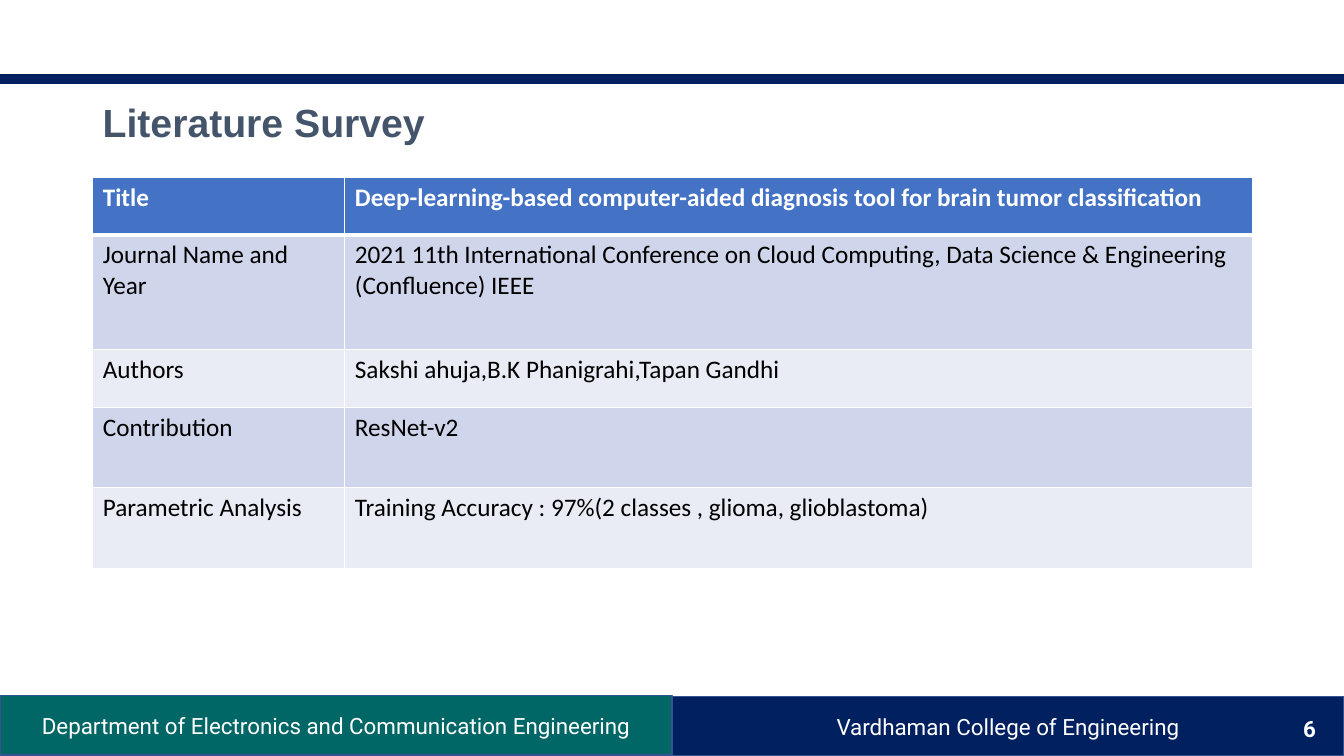
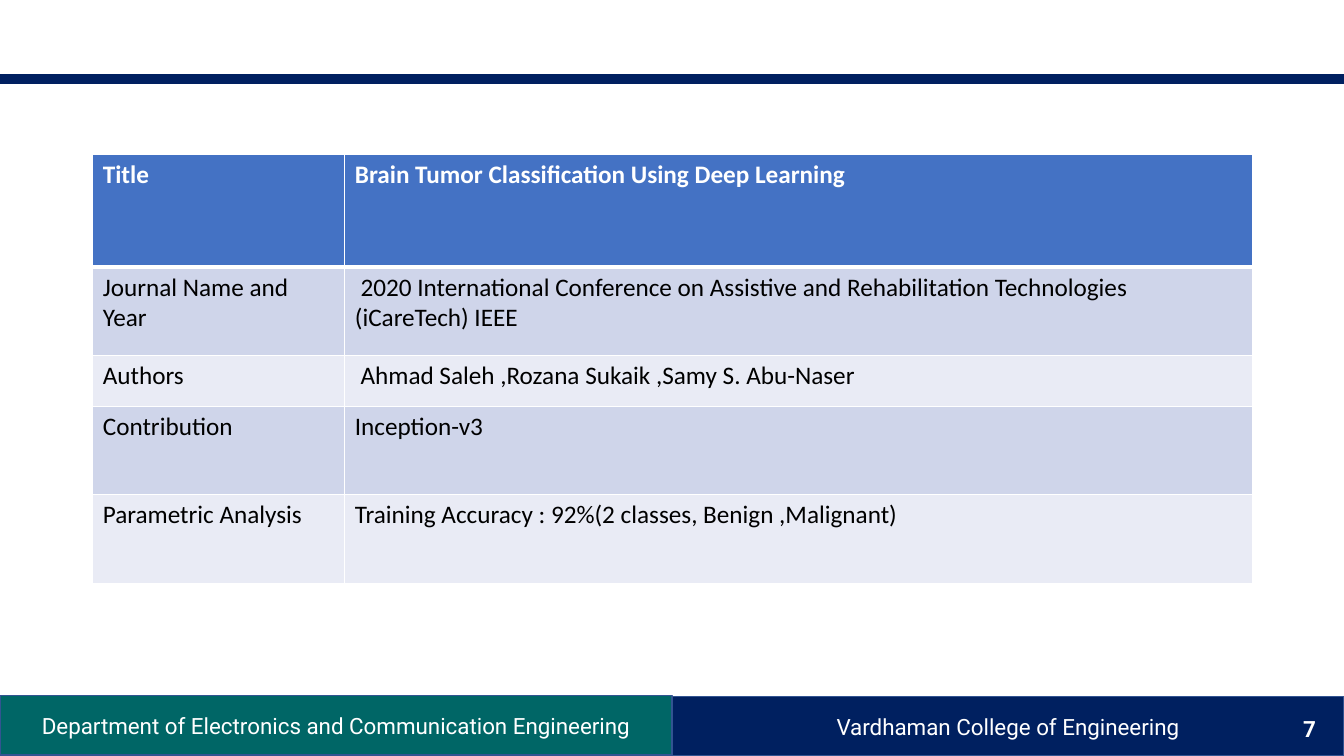
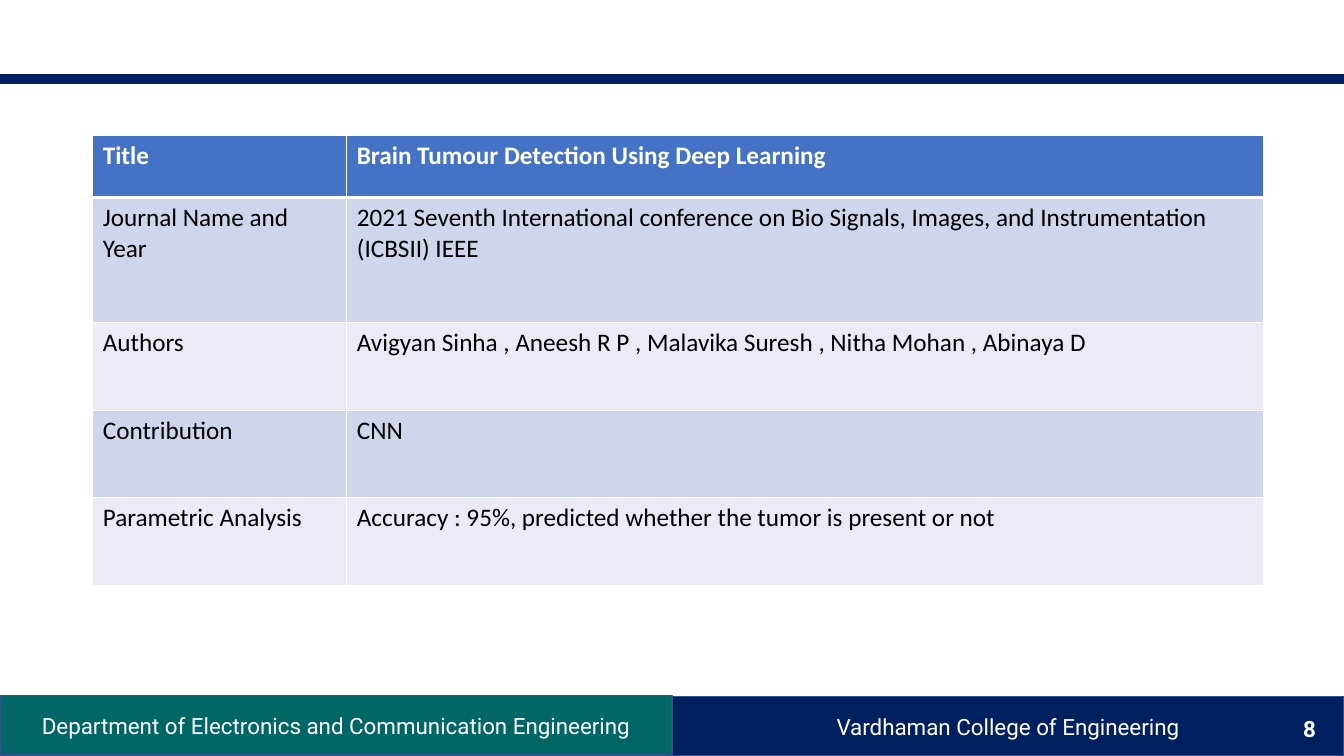
from lxml import etree
from pptx import Presentation
from pptx.dml.color import RGBColor
from pptx.enum.shapes import MSO_SHAPE
from pptx.enum.text import MSO_ANCHOR, PP_ALIGN
from pptx.oxml.ns import qn
from pptx.util import Inches, Pt

RECT = MSO_SHAPE.RECTANGLE
MIDDLE = MSO_ANCHOR.MIDDLE
LEFT, CENTER, RIGHT = PP_ALIGN.LEFT, PP_ALIGN.CENTER, PP_ALIGN.RIGHT

# Shared look
WHITE, BLACK, SLATE = "FFFFFF", "000000", "44546A"
NAVY, TEAL, OUTLINE = "002060", "006666", "325491"
HEADER, BANDS = "4472C4", ("CFD5EA", "E9EBF5")
SLIDE_W, SLIDE_H = 13.33, 7.5
HALF = SLIDE_W / 2
TABLE_LEFT = 0.92

# Left, top, width, height, fill, line, text
FRAME = [
    (0, 6.9, HALF, 0.59, TEAL, OUTLINE,
     "Department of Electronics and Communication Engineering"),
    (HALF, 6.91, HALF, 0.59, NAVY, OUTLINE, "Vardhaman College of Engineering"),
    (0, 0.74, SLIDE_W, 0.09, NAVY, NAVY, ""),
]

# Content
FIRST_NUMBER = 6
LABELS = ["Title", "Journal Name and Year", "Authors", "Contribution",
          "Parametric Analysis"]
PAPERS = [
    {"heading": "Literature Survey", "top": 1.76, "cols": (2.5, 9),
     "rows": (0.57, 1.14, 0.57, 0.8, 0.8),
     "values": [
         "Deep-learning-based computer-aided diagnosis tool for brain tumor classification",
         "2021 11th International Conference on Cloud Computing, Data Science & "
         "Engineering (Confluence) IEEE",
         "Sakshi ahuja,B.K Phanigrahi,Tapan Gandhi",
         "ResNet-v2",
         "Training Accuracy : 97%(2 classes , glioma, glioblastoma)"]},
    {"heading": "", "top": 1.53, "cols": (2.5, 9),
     "rows": (1.12, 0.88, 0.5, 0.88, 0.88),
     "values": [
         "Brain Tumor Classification Using Deep Learning",
         " 2020 International Conference on Assistive and Rehabilitation "
         "Technologies (iCareTech) IEEE",
         " Ahmad Saleh ,Rozana Sukaik ,Samy S. Abu-Naser",
         "Inception-v3",
         "Training Accuracy : 92%(2 classes, Benign ,Malignant)"]},
    {"heading": "", "top": 1.34, "cols": (2.52, 9.09),
     "rows": (0.62, 1.24, 0.87, 0.87, 0.87),
     "values": [
         "Brain Tumour Detection Using Deep Learning",
         "2021 Seventh International conference on Bio Signals, Images, and "
         "Instrumentation (ICBSII) IEEE",
         "Avigyan Sinha , Aneesh R P , Malavika Suresh , Nitha Mohan , Abinaya D",
         "CNN",
         "Accuracy : 95%, predicted whether the tumor is present or not"]},
]


def rgb(color):
    return RGBColor.from_string(color)


def write(tf, text, size, font, color, bold=False, align=LEFT):
    tf.word_wrap = True
    p = tf.paragraphs[0]
    p.text = text
    p.alignment = align
    p.font.size = Pt(size)
    p.font.name = font
    p.font.bold = bold
    p.font.color.rgb = rgb(color)
    return p


def add_text(s, box, *style):
    tf = s.shapes.add_textbox(*map(Inches, box)).text_frame
    tf.vertical_anchor = MIDDLE
    return write(tf, *style)


def add_frame(s, number):
    """Top rule, footer bands and slide number."""
    for *box, fill, line, text in FRAME:
        sp = s.shapes.add_shape(RECT, *map(Inches, box))
        sp.shadow.inherit = False
        sp.fill.solid()
        sp.fill.fore_color.rgb = rgb(fill)
        sp.line.color.rgb = rgb(line)
        sp.line.width = Pt(1)
        if text:
            sp.text_frame.vertical_anchor = MIDDLE
            write(sp.text_frame, text, 16, "Roboto", WHITE, False, CENTER)
    add_text(s, (11.68, 7.03, 1.47, 0.4), str(number), 16, "Roboto", WHITE, True, RIGHT)


def set_borders(cell, top, bottom):
    tc_pr = cell._tc.get_or_add_tcPr()
    for side, width in (("L", 1), ("R", 1), ("T", top), ("B", bottom)):
        ln = etree.SubElement(tc_pr, qn("a:ln" + side), w=str(Pt(width)))
        fill = etree.SubElement(ln, qn("a:solidFill"))
        etree.SubElement(fill, qn("a:srgbClr"), val=WHITE)


def add_paper_table(s, paper):
    cols, rows = paper["cols"], paper["rows"]
    box = (TABLE_LEFT, paper["top"], sum(cols), sum(rows))
    table = s.shapes.add_table(len(rows), len(cols), *map(Inches, box)).table
    for column, width in zip(table.columns, cols):
        column.width = Inches(width)
    for i, texts in enumerate(zip(LABELS, paper["values"])):
        table.rows[i].height = Inches(rows[i])
        is_header = i == 0
        for j, text in enumerate(texts):
            cell = table.cell(i, j)
            # Thick rule between the header and the body
            set_borders(cell, 3 if i == 1 else 1, 3 if is_header else 1)
            cell.fill.solid()
            cell.fill.fore_color.rgb = rgb(HEADER if is_header else BANDS[(i - 1) % 2])
            write(cell.text_frame, text, 18, "Calibri",
                  WHITE if is_header else BLACK, is_header)


def main():
    prs = Presentation()
    prs.slide_width, prs.slide_height = Inches(SLIDE_W), Inches(SLIDE_H)
    for number, paper in enumerate(PAPERS, FIRST_NUMBER):
        s = prs.slides.add_slide(prs.slide_layouts[6])
        add_frame(s, number)
        if paper["heading"]:
            p = add_text(s, (TABLE_LEFT, 0.84, 3.48, 0.8), paper["heading"],
                         28, "Arial", SLATE, True)
            p.line_spacing = 0.9
        add_paper_table(s, paper)
    prs.save("out.pptx")


if __name__ == "__main__":
    main()
